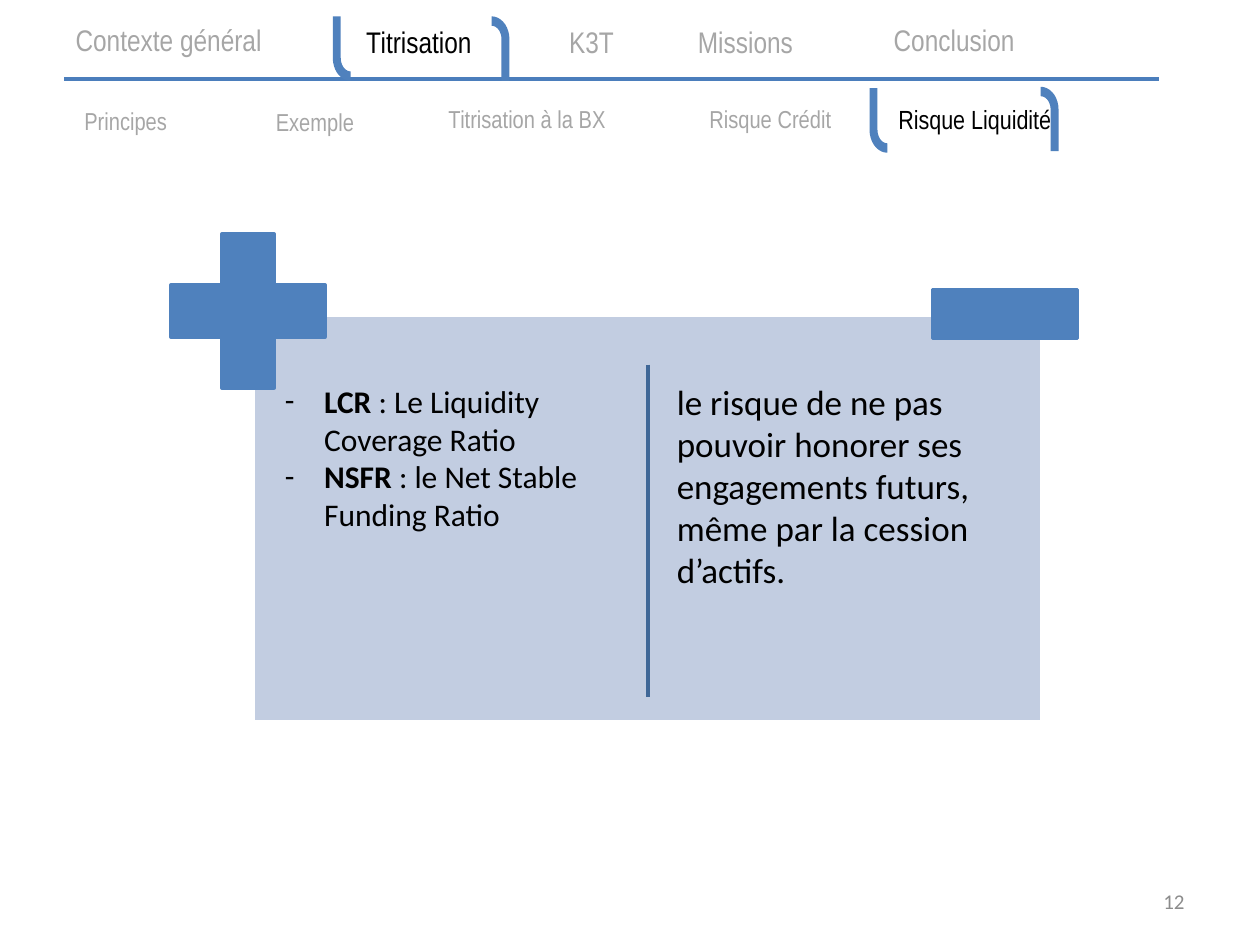
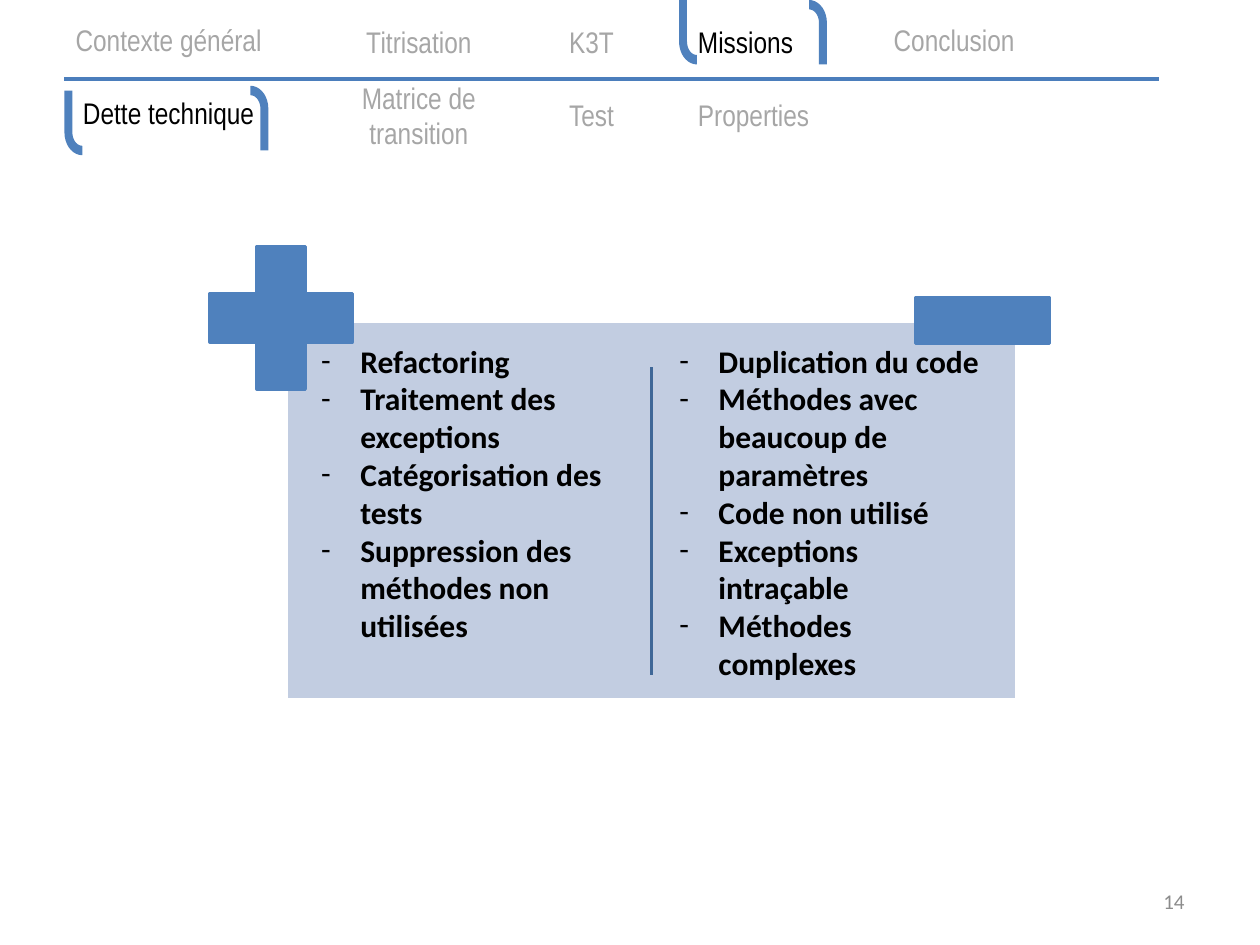
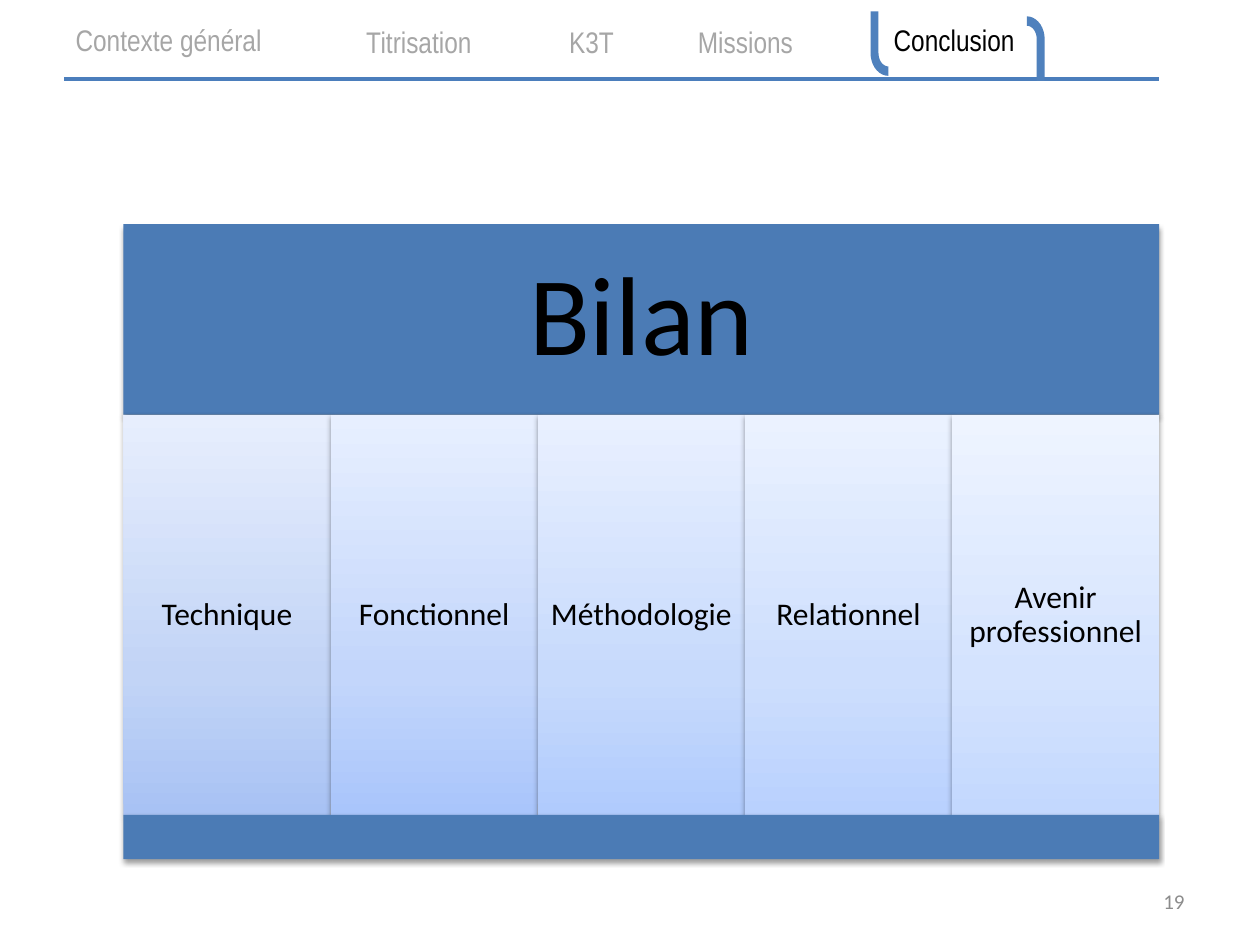
import copy
import math
from dataclasses import dataclass

from lxml import etree
from pptx import Presentation
from pptx import util as u
from pptx.dml.color import RGBColor
from pptx.enum import shapes as es, text as et
from pptx.oxml.ns import qn

Cm, Pt = u.Cm, u.Pt
KIND = es.MSO_SHAPE
LEFT, MID, RIGHT = et.PP_ALIGN.LEFT, et.PP_ALIGN.CENTER, et.PP_ALIGN.RIGHT


@dataclass(frozen=True)
class Theme:
    blue: str = "4F81BD"
    rule: str = "4B7EBC"
    bar: str = "4B7BB5"
    split: str = "3F6797"
    panel: str = "C2CDE1"
    white: str = "FFFFFF"
    ink: str = "000000"
    dim: str = "A6A6A6"
    page: str = "8C8C8C"
    nav: str = "Arial Narrow"
    body: str = "Calibri"
    tab: int = 17
    sub: int = 14
    live: int = 15
    list: int = 18
    note: int = 20
    hero: int = 64
    foot: int = 12


T = Theme()

TABS = [
    ("Contexte général", 1.24, 4.32, 0.8, MID),
    ("Titrisation", 6.3, 4.29, 0.83, MID),
    ("K3T", 9.78, 4.29, 0.83, MID),
    ("Missions", 14.07, 3.53, 0.83, LEFT),
    ("Conclusion", 17.09, 4.29, 0.8, MID),
]
RISKS = [
    ("Principes", 1.7, 4.11, 2.48, LEFT),
    ("Exemple", 5.56, 3.61, 2.5, LEFT),
    ("Titrisation à la BX", 9.04, 3.61, 2.45, LEFT),
    ("Risque Crédit", 14.3, 3.61, 2.45, LEFT),
    ("Risque Liquidité", 18.11, 3.61, 2.45, LEFT),
]
TASKS = [
    ("Dette technique", 1.24, 4.32, 2.27, MID),
    ("Matrice de transition", 6.3, 4.29, 2.32, MID),
    ("Test", 9.78, 4.29, 2.32, MID),
    ("Properties", 14.07, 3.53, 2.32, LEFT),
]

BOARDS = [
    dict(
        page="12", tab="Titrisation", live="Risque Liquidité", subs=RISKS,
        look=dict(size=T.sub, big=T.live, gap=0.8),
        marks=[((6.71, 0.33), (9.91, 0.33)), ((17.53, 1.78), (20.98, 1.75))],
        panel=(5.11, 6.35, 15.9, 8.2),
        lists=[
            ((5.49, 7.57, 7.19, 3.33), T.list, True, [
                [("LCR", True), (" : Le Liquidity Coverage Ratio", False)],
                [("NSFR", True), (" : le Net Stable Funding Ratio", False)],
            ]),
            ((13.39, 7.54, 7.72, 4.52), T.note, False, [
                [("le risque de ne pas pouvoir honorer ses engagements futurs, "
                  "même par la cession d’actifs.", False)],
            ]),
        ],
    ),
    dict(
        page="14", tab="Missions", live="Dette technique", subs=TASKS,
        look=dict(size=T.tab, big=T.tab, gap=1.0),
        marks=[((13.69, 0), (16.31, 0)), ((1.3, 1.83), (5.05, 1.73))],
        panel=(5.77, 6.48, 14.73, 7.62),
        lists=[
            ((6.22, 6.76, 6.88, 6.4), T.list, True, [
                [(line, True)] for line in (
                    "Refactoring", "Traitement des exceptions",
                    "Catégorisation des tests",
                    "Suppression des méthodes non utilisées")
            ]),
            ((13.44, 6.76, 6.88, 7.19), T.list, True, [
                [(line, True)] for line in (
                    "Duplication du code",
                    "Méthodes avec beaucoup de paramètres",
                    "Code non utilisé", "Exceptions intraçable",
                    "Méthodes complexes")
            ]),
        ],
    ),
]

CLOSE = dict(page="19", tab="Conclusion",
             marks=[((17.55, 0.23), (20.7, 0.33))])
TABLE = (2.49, 4.52, 20.88)
HEAD, BODY, BASE = 3.84, 8.07, 0.89
FIELDS = [
    ("Technique", "A8C2F4", "C2D4F6", "E7EEFD"),
    ("Fonctionnel", "A9C5FB", "C3D6FB", "E7EFFF"),
    ("Méthodologie", "B0CBFD", "C7DAFC", "E9F0FF"),
    ("Relationnel", "B9D1FE", "CDDEFD", "EBF2FF"),
    ("Avenir professionnel", "C3D8FE", "D4E3FE", "EEF4FF"),
]


def put(obj, **vals):
    for key, val in vals.items():
        setattr(obj, key, val)


def rgb(hue):
    return RGBColor.from_string(hue)


def place(shape, area):
    put(shape, **dict(zip(("left", "top", "width", "height"), map(Cm, area))))


def frame(shape, pad=None, anchor=et.MSO_ANCHOR.MIDDLE):
    tf = shape.text_frame
    put(tf, word_wrap=True, auto_size=et.MSO_AUTO_SIZE.NONE,
        vertical_anchor=anchor)
    if pad is not None:
        for side in ("left", "top", "right", "bottom"):
            setattr(tf, "margin_" + side, Cm(pad))
    return tf


def write(para, runs, face, size, hue, align, gap=1.0):
    put(para, alignment=align, line_spacing=gap,
        space_before=Pt(0), space_after=Pt(0))
    for words, bold in runs:
        run = para.add_run()
        run.text = words
        put(run.font, name=face, size=Pt(size), bold=bold)
        run.font.color.rgb = rgb(hue)


def dash(para, on):
    props = para._p.get_or_add_pPr()
    step = Cm(0.79) if on else 0
    props.set("marL", str(step))
    props.set("indent", str(-step))
    if on:
        etree.SubElement(props, qn("a:buFont"), typeface=T.body)
        etree.SubElement(props, qn("a:buChar"), char="-")
    else:
        etree.SubElement(props, qn("a:buNone"))


def block(slide, kind, area, fill, edge=None):
    shape = slide.shapes.add_shape(kind, *map(Cm, area))
    shape.shadow.inherit = False
    shape.fill.solid()
    shape.fill.fore_color.rgb = rgb(fill)
    if edge:
        shape.line.color.rgb = rgb(edge)
        shape.line.width = Pt(2)
    else:
        shape.line.fill.background()
    return shape


def rule(slide, ends, hue, width):
    line = slide.shapes.add_connector(es.MSO_CONNECTOR.STRAIGHT,
                                      *map(Cm, ends))
    line.line.color.rgb = rgb(hue)
    line.line.width = Pt(width)
    etree.SubElement(line._element.spPr, qn("a:effectLst"))


def hook(slide, spot, turn):
    wide, high, bend = 0.36, 1.3, 0.84
    arc = [math.radians(a) for a in range(0, 91, 10)]

    def curve(rx, ry):
        return [(wide - rx * math.cos(a), bend + ry * math.sin(a))
                for a in arc]

    pts = [(0, 0), *curve(wide, high - bend),
           *reversed(curve(0.2, 0.27)), (0.16, 0)]
    if turn:
        pts = [(wide - x, high - y) for x, y in pts]
    pts = [(x * 1000, y * 1000) for x, y in pts]
    pen = slide.shapes.build_freeform(*pts[0], scale=Cm(0.001))
    pen.add_line_segments(pts[1:], close=True)
    shape = pen.convert_to_shape(*map(Cm, spot))
    shape.shadow.inherit = False
    shape.fill.solid()
    shape.fill.fore_color.rgb = rgb(T.blue)
    shape.line.fill.background()


def label(slide, item, size, hue, gap=1.0, box=None):
    words, left, width, mid, align = item
    area = (left, mid - 0.6, width, 1.2)
    if box is None:
        box = slide.shapes.add_textbox(*map(Cm, area))
    else:
        place(box, area)
    write(frame(box, 0).paragraphs[0], [(words, False)],
          T.nav, size, hue, align, gap)


def start(deck, layout, data):
    slide = deck.slides.add_slide(deck.slide_layouts[layout])
    for item in TABS:
        live = item[0] == data["tab"]
        label(slide, item, T.tab, T.ink if live else T.dim,
              box=slide.shapes.title if live else None)
    rule(slide, (1.3, 1.6, 23.37, 1.6), T.rule, 2.25)
    for pair in data["marks"]:
        for turn, spot in enumerate(pair):
            hook(slide, spot, turn)
    foot = slide.shapes.add_textbox(*map(Cm, (18.21, 17.65, 5.92, 1.02)))
    write(frame(foot).paragraphs[0], [(data["page"], False)],
          T.body, T.foot, T.page, RIGHT)
    return slide


def board(deck, data):
    slide = start(deck, 3, data)
    look = data["look"]
    for item in data["subs"]:
        live = item[0] == data["live"]
        label(slide, item, look["big" if live else "size"],
              T.ink if live else T.dim, look["gap"])

    x, y, wide, high = data["panel"]
    k = wide / 15.9
    mid = x + wide / 2
    block(slide, KIND.RECTANGLE, data["panel"], T.panel, T.white)
    plus = block(slide, KIND.CROSS,
                 (x - 1.66 * k, y - 1.63 * k, 3.1 * k, 3.1 * k),
                 T.blue, T.blue)
    plus.adjustments[0] = 0.33
    block(slide, KIND.RECTANGLE,
          (x + 13.69 * k, y - 0.51 * k, 2.92 * k, 0.99 * k), T.blue, T.blue)
    rule(slide, (mid, y + k, mid, y + 7.7 * k), T.split, 2)

    tree = slide.shapes.title.element.getparent()
    for idx, (area, size, mark, lines) in enumerate(data["lists"], 1):
        box = slide.placeholders[idx]
        tree.append(box.element)
        place(box, area)
        tf = frame(box, anchor=et.MSO_ANCHOR.TOP)
        for n, runs in enumerate(lines):
            para = tf.add_paragraph() if n else tf.paragraphs[0]
            write(para, runs, T.body, size, T.ink, LEFT)
            dash(para, mark)


def shade(shape):
    glow = etree.SubElement(
        shape._element.spPr.find(qn("a:effectLst")), qn("a:outerShdw"),
        blurRad=str(Pt(3.1)), dist=str(Pt(1.6)), dir="5400000",
        rotWithShape="0")
    hue = etree.SubElement(glow, qn("a:srgbClr"), val=T.ink)
    etree.SubElement(hue, qn("a:alpha"), val="38000")


def blend(shape, hues):
    fill = shape.fill
    fill.gradient()
    fill.gradient_angle = 90
    stops = shape._element.spPr.find(".//" + qn("a:gsLst"))
    stops.insert(1, copy.deepcopy(stops[0]))
    for stop, pos, hue in zip(fill.gradient_stops, (0, 0.35, 1), hues):
        stop.position = pos
        stop.color.rgb = rgb(hue)


def cell(slide, area, words="", size=T.list, pad=0.18, hues=None):
    shape = block(slide, KIND.RECTANGLE, area, T.bar)
    shade(shape)
    if hues:
        blend(shape, hues)
    if words:
        write(frame(shape, pad).paragraphs[0], [(words, False)],
              T.body, size, T.ink, MID, 0.9)


def close(deck):
    slide = start(deck, 5, CLOSE)
    x, y, wide = TABLE
    step = wide / len(FIELDS)
    cell(slide, (x, y, wide, HEAD), "Bilan", T.hero, 0.69)
    for n, (words, *hues) in enumerate(FIELDS):
        cell(slide, (x + n * step, y + HEAD, step, BODY), words, hues=hues)
    cell(slide, (x, y + HEAD + BODY, wide, BASE))


def main():
    deck = Presentation()
    put(deck, slide_width=Cm(25.4), slide_height=Cm(19.05))
    for data in BOARDS:
        board(deck, data)
    close(deck)
    deck.save("out.pptx")


if __name__ == "__main__":
    main()
